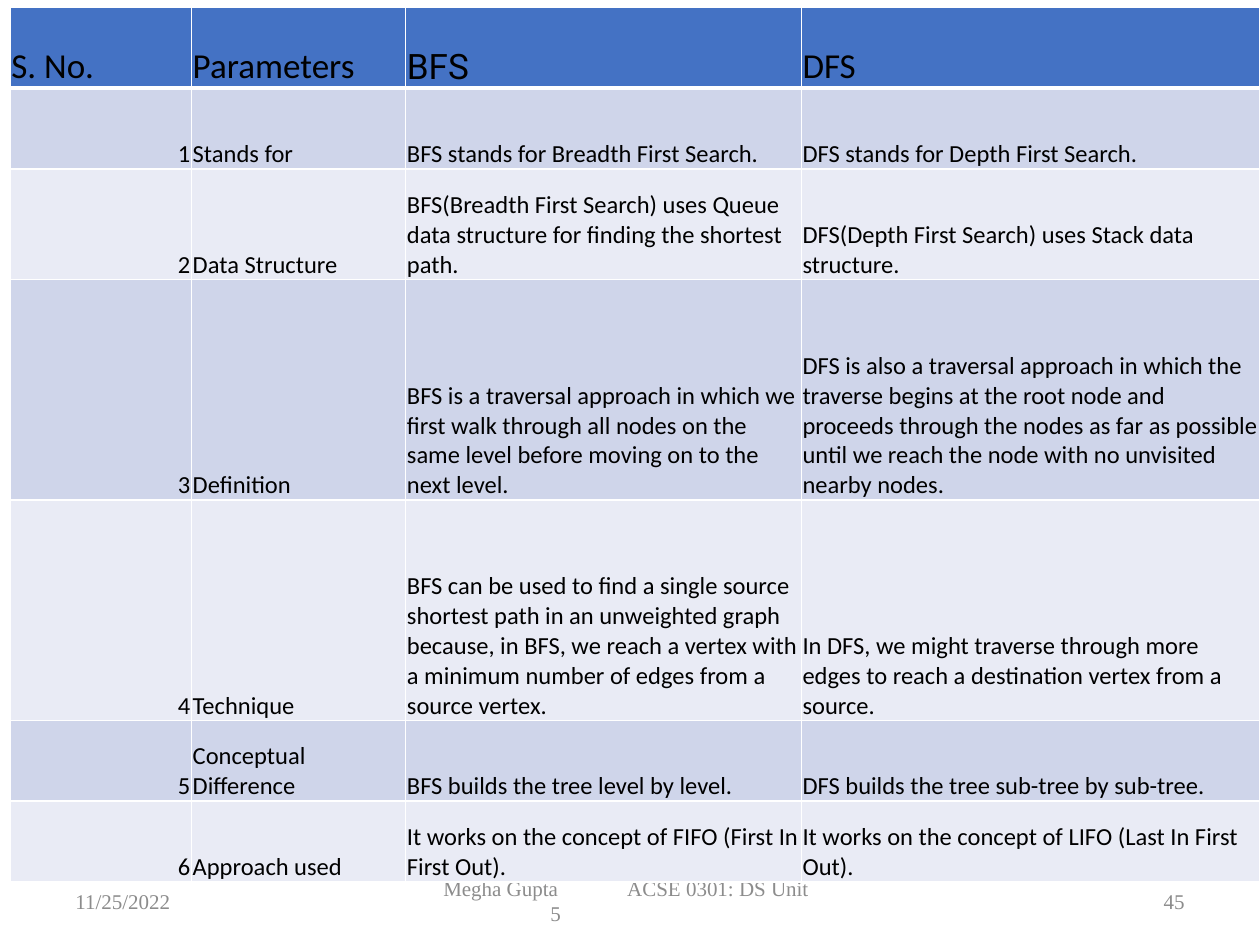
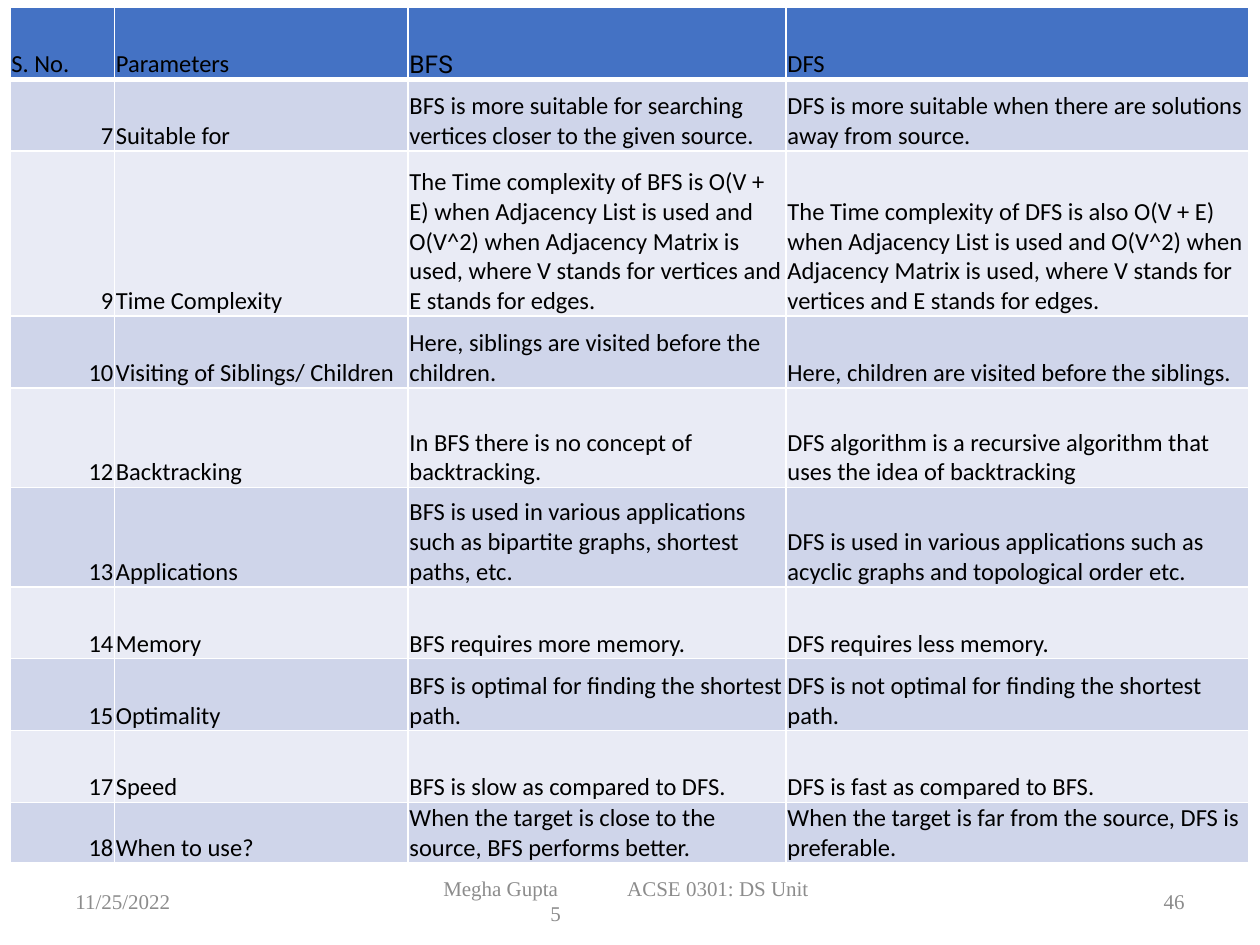
"""Builds two slides comparing breadth-first and depth-first search."""
from dataclasses import dataclass

from lxml import etree
from pptx import Presentation
from pptx.dml.color import RGBColor
from pptx.enum.text import MSO_ANCHOR, PP_ALIGN
from pptx.oxml.ns import qn
from pptx.util import Inches, Pt

LEFT, RIGHT = PP_ALIGN.LEFT, PP_ALIGN.RIGHT
MIDDLE, BOTTOM = MSO_ANCHOR.MIDDLE, MSO_ANCHOR.BOTTOM
SLIDE_WIDTH, SLIDE_HEIGHT = Inches(10), Inches(7.5)
BLANK_LAYOUT = 6


@dataclass(frozen=True)
class Theme:
    """Colours, fonts and type sizes shared by the slides."""
    header_fill: str = "4472C4"
    bands: tuple = ("CFD5EA", "E9EBF5")
    border: str = "FFFFFF"
    text: str = "000000"
    footer: str = "8C8C8C"
    body_font: str = "Calibri"
    accent_font: str = "Roboto"
    footer_font: str = "Times New Roman"
    body_size: int = 14
    footer_size: int = 12
    thin_line: int = 1
    thick_line: int = 3


THEME = Theme()
HEADINGS = ("S. No.", "Parameters", "BFS", "DFS")
DATE = "11/25/2022"
COURSE = "Megha Gupta\tACSE 0301: DS Unit\v\t5"
COURSE_TABS = (0.85, 1.46)

BASICS = (
    ("1", "Stands for", "BFS stands for Breadth First Search.",
     "DFS stands for Depth First Search."),
    ("2", "Data Structure",
     "BFS(Breadth First Search) uses Queue data structure for finding the shortest path.",
     "DFS(Depth First Search) uses Stack data structure."),
    ("3", "Definition",
     "BFS is a traversal approach in which we first walk through all nodes on the same "
     "level before moving on to the next level.",
     "DFS is also a traversal approach in which the traverse begins at the root node and "
     "proceeds through the nodes as far as possible until we reach the node with no "
     "unvisited nearby nodes."),
    ("4", "Technique",
     "BFS can be used to find a single source shortest path in an unweighted graph "
     "because, in BFS, we reach a vertex with a minimum number of edges from a source vertex.",
     "In DFS, we might traverse through more edges to reach a destination vertex from a source."),
    ("5", "Conceptual Difference", "BFS builds the tree level by level.",
     "DFS builds the tree sub-tree by sub-tree."),
    ("6", "Approach used", "It works on the concept of FIFO (First In First Out).",
     "It works on the concept of LIFO (Last In First Out)."),
)

COMPLEXITY = ("O(V + E) when Adjacency List is used and O(V^2) when Adjacency Matrix is used, "
              "where V stands for vertices and E stands for edges.")
PROPERTIES = (
    ("7", "Suitable for",
     "BFS is more suitable for searching vertices closer to the given source.",
     "DFS is more suitable when there are solutions away from source."),
    ("9", "Time Complexity", f"The Time complexity of BFS is {COMPLEXITY}",
     f"The Time complexity of DFS is also {COMPLEXITY}"),
    ("10", "Visiting of Siblings/ Children", "Here, siblings are visited before the children.",
     "Here, children are visited before the siblings."),
    ("12", "Backtracking", "In BFS there is no concept of backtracking.",
     "DFS algorithm is a recursive algorithm that uses the idea of backtracking"),
    ("13", "Applications",
     "BFS is used in various applications such as bipartite graphs, shortest paths, etc.",
     "DFS is used in various applications such as acyclic graphs and topological order etc."),
    ("14", "Memory", "BFS requires more memory.", "DFS requires less memory."),
    ("15", "Optimality", "BFS is optimal for finding the shortest path.",
     "DFS is not optimal for finding the shortest path."),
    ("17", "Speed", "BFS is slow as compared to DFS.", "DFS is fast as compared to BFS."),
    ("18", "When to use?", "When the target is close to the source, BFS performs better.",
     "When the target is far from the source, DFS is preferable."),
)


def style_paragraph(paragraph, font_name, size, color, alignment):
    """Set the font and alignment of a paragraph."""
    paragraph.alignment = alignment
    paragraph.font.name = font_name
    paragraph.font.size = Pt(size)
    paragraph.font.color.rgb = RGBColor.from_string(color)


def add_tab_stops(paragraph, stops):
    """Add left tab stops, given in inches, to a paragraph."""
    tab_list = etree.SubElement(paragraph._p.get_or_add_pPr(), qn("a:tabLst"))
    for stop in stops:
        etree.SubElement(tab_list, qn("a:tab"), pos=str(Inches(stop)), algn="l")


def add_footer_text(slide, left, width, text, alignment=LEFT, stops=()):
    """Add one footer field at a left and width given as shares of the slide."""
    box = slide.shapes.add_textbox(int(SLIDE_WIDTH * left), Inches(6.95),
                                   int(SLIDE_WIDTH * width), Inches(0.4))
    frame = box.text_frame
    frame.word_wrap = True
    frame.vertical_anchor = MIDDLE
    paragraph = frame.paragraphs[0]
    paragraph.text = text
    if stops:
        add_tab_stops(paragraph, stops)
    style_paragraph(paragraph, THEME.footer_font, THEME.footer_size, THEME.footer, alignment)


def add_footer(slide, number):
    """Add the date, course and slide number."""
    add_footer_text(slide, 0.05, 0.23, DATE)
    add_footer_text(slide, 0.342, 0.317, COURSE, stops=COURSE_TABS)
    add_footer_text(slide, 0.717, 0.233, str(number), RIGHT)


def add_borders(cell, row):
    """Outline a cell, with a thick rule between the header and the body."""
    thick_side = {0: "B", 1: "T"}.get(row)
    for side in "LRTB":
        width = THEME.thick_line if side == thick_side else THEME.thin_line
        line = etree.SubElement(cell._tc.get_or_add_tcPr(), qn(f"a:ln{side}"), w=str(Pt(width)))
        fill = etree.SubElement(line, qn("a:solidFill"))
        etree.SubElement(fill, qn("a:srgbClr"), val=THEME.border)


def fill_cell(cell, row, column, text, size):
    """Write and style one table cell according to its row and column."""
    cell.margin_left = cell.margin_right = cell.margin_top = Inches(0.01)
    cell.margin_bottom = 0
    cell.vertical_anchor = BOTTOM
    add_borders(cell, row)
    cell.fill.solid()
    color = THEME.bands[(row - 1) % 2] if row else THEME.header_fill
    cell.fill.fore_color.rgb = RGBColor.from_string(color)
    paragraph = cell.text_frame.paragraphs[0]
    paragraph.text = text
    font_name = THEME.accent_font if (row, column) == (0, 2) else THEME.body_font
    alignment = RIGHT if row and column == 0 else LEFT
    style_paragraph(paragraph, font_name, size, THEME.text, alignment)


def add_comparison_table(slide, rows, widths, heights, header_size):
    """Add a BFS and DFS table with column widths and row heights in inches."""
    contents = (HEADINGS, *rows)
    table = slide.shapes.add_table(len(contents), len(HEADINGS), Inches(0.08), Inches(0.06),
                                   Inches(sum(widths)), Inches(sum(heights))).table
    table.first_row = table.horz_banding = False
    for column, width in zip(table.columns, widths):
        column.width = Inches(width)
    for row, height in zip(table.rows, heights):
        row.height = Inches(height)
    for row, texts in enumerate(contents):
        size = THEME.body_size if row else header_size
        for column, text in enumerate(texts):
            fill_cell(table.cell(row, column), row, column, text, size)


def add_comparison_slide(presentation, number, rows, widths, heights, header_size):
    """Add a slide holding the footer and one comparison table."""
    slide = presentation.slides.add_slide(presentation.slide_layouts[BLANK_LAYOUT])
    add_footer(slide, number)
    add_comparison_table(slide, rows, widths, heights, header_size)


def main():
    """Build and save the presentation."""
    presentation = Presentation()
    presentation.slide_width, presentation.slide_height = SLIDE_WIDTH, SLIDE_HEIGHT
    add_comparison_slide(presentation, 45, BASICS, (1.44, 1.7, 3.14, 3.64),
                         (0.64, 0.64, 0.88, 1.75, 1.75, 0.64, 0.64), 20)
    add_comparison_slide(presentation, 46, PROPERTIES, (0.83, 2.33, 3, 3.67),
                         (0.57, 0.57, 1.31, 0.57, 0.79, 0.79, 0.57, 0.57, 0.57, 0.48), 14)
    presentation.save("out.pptx")


if __name__ == "__main__":
    main()
